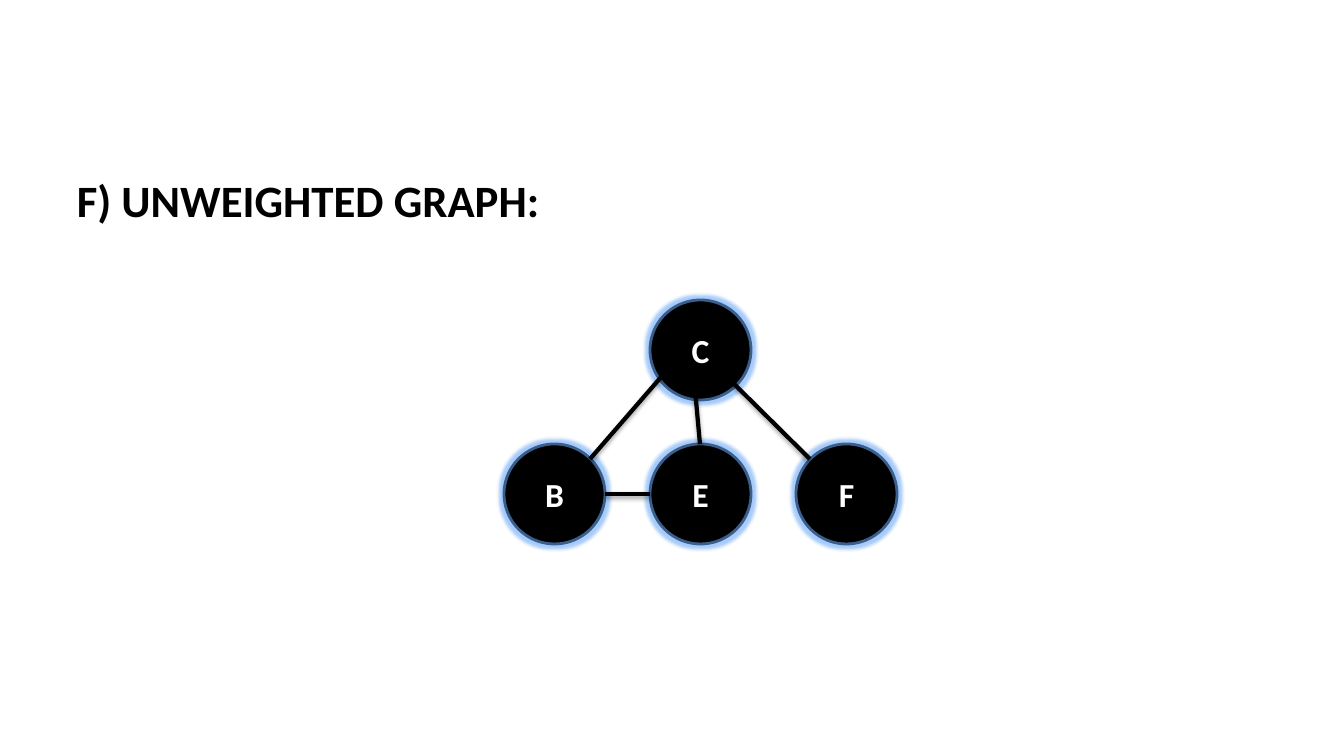
import pptx
import pptx.util
import pptx.oxml
import pptx.oxml.ns
import pptx.dml.color
import pptx.enum.shapes
import pptx.enum.text

PX = 914400 / 100.8
COLORS = {"black": "000000", "white": "FFFFFF", "rim": "3A5F8C", "glow": "3C8CF4"}


def px(*nums):
    return [pptx.util.Emu(round(num * PX)) for num in nums]


def effect(shape, body):
    node = pptx.oxml.parse_xml(
        f'<a:effectLst {pptx.oxml.ns.nsdecls("a")}>{body}</a:effectLst>')
    shape.element.spPr.append(node)


rgb = {name: pptx.dml.color.RGBColor.from_string(code) for name, code in COLORS.items()}
deck = pptx.Presentation()
deck.slide_width, deck.slide_height = px(1344, 756)
slide = deck.slides.add_slide(deck.slide_layouts[6])

title = slide.shapes.add_textbox(*px(67, 168, 1210, 499))
title.text_frame.word_wrap = True
para = title.text_frame.paragraphs[0]
para.text = "F) UNWEIGHTED GRAPH:"
look = {"name": "Calibri", "size": pptx.util.Pt(32), "bold": True}
for key, value in look.items():
    setattr(para.font, key, value)
para.font.color.rgb = rgb["black"]

side, high = px(13, 7)
frame = {"margin_left": side, "margin_right": side, "margin_top": high,
         "margin_bottom": high, "word_wrap": True,
         "vertical_anchor": pptx.enum.text.MSO_ANCHOR.MIDDLE}
look["size"] = pptx.util.Pt(24)
left, step, low, top = 504, 146, 444, 300
nodes = [("B", 0, low), ("E", 1, low), ("F", 2, low), ("C", 1, top)]
glow = (f'<a:glow rad="63500"><a:srgbClr val="{COLORS["glow"]}">'
        '<a:alpha val="45000"/></a:srgbClr></a:glow>')
for name, col, y in nodes:
    node = slide.shapes.add_shape(
        pptx.enum.shapes.MSO_SHAPE.OVAL, *px(left + col * step, y, 101, 100))
    node.fill.solid()
    node.fill.fore_color.rgb = rgb["black"]
    node.line.color.rgb = rgb["rim"]
    node.line.width = pptx.util.Pt(2)
    effect(node, glow)
    for key, value in frame.items():
        setattr(node.text_frame, key, value)
    para = node.text_frame.paragraphs[0]
    para.text = name
    para.alignment = pptx.enum.text.PP_ALIGN.CENTER
    for key, value in look.items():
        setattr(para.font, key, value)
    para.font.color.rgb = rgb["white"]

edges = [(726, 376, 810, 459), (590, 459, 662, 376),
         (695, 389, 700, 444), (605, 494, 650, 494)]
shade = ('<a:outerShdw blurRad="40000" dist="23000" dir="5400000" rotWithShape="0">'
         f'<a:srgbClr val="{COLORS["black"]}"><a:alpha val="35000"/></a:srgbClr>'
         '</a:outerShdw>')
for ends in edges:
    edge = slide.shapes.add_connector(
        pptx.enum.shapes.MSO_CONNECTOR.STRAIGHT, *px(*ends))
    edge.line.color.rgb = rgb["black"]
    edge.line.width = pptx.util.Pt(3)
    effect(edge, shade)

deck.save("out.pptx")
